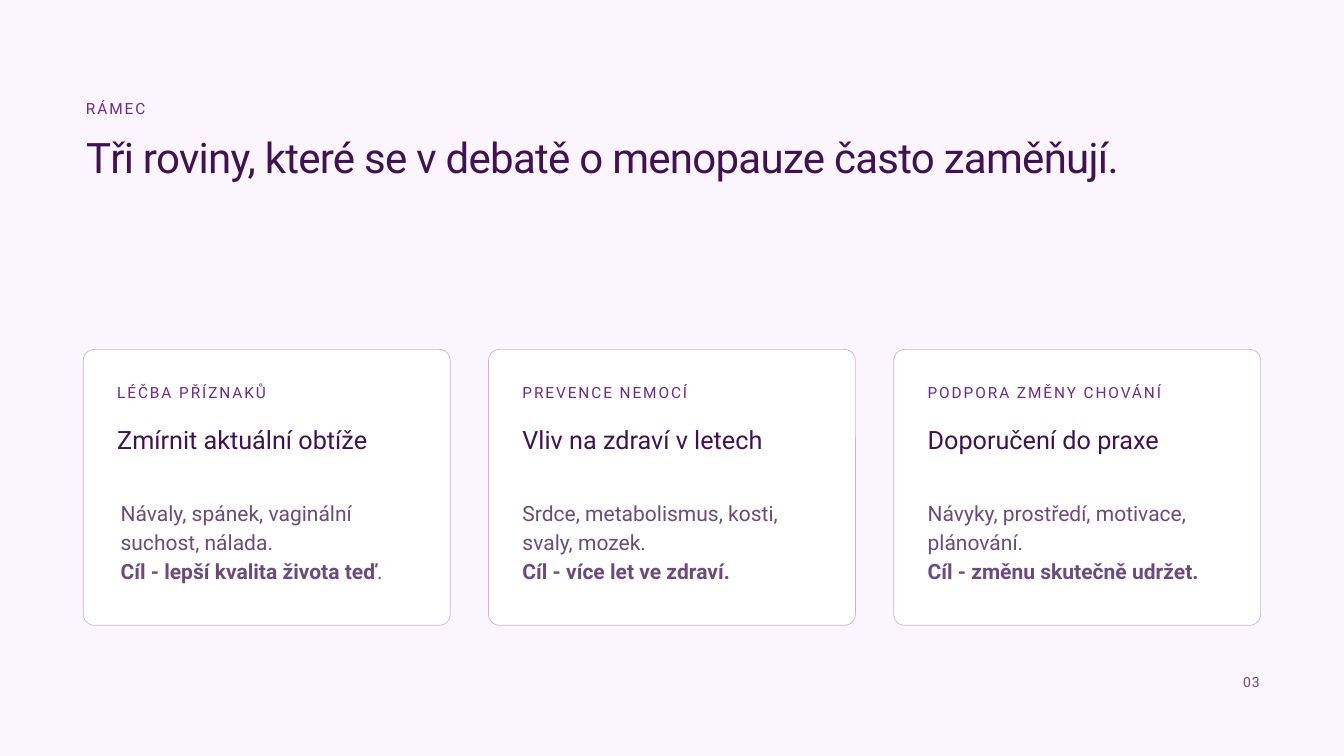
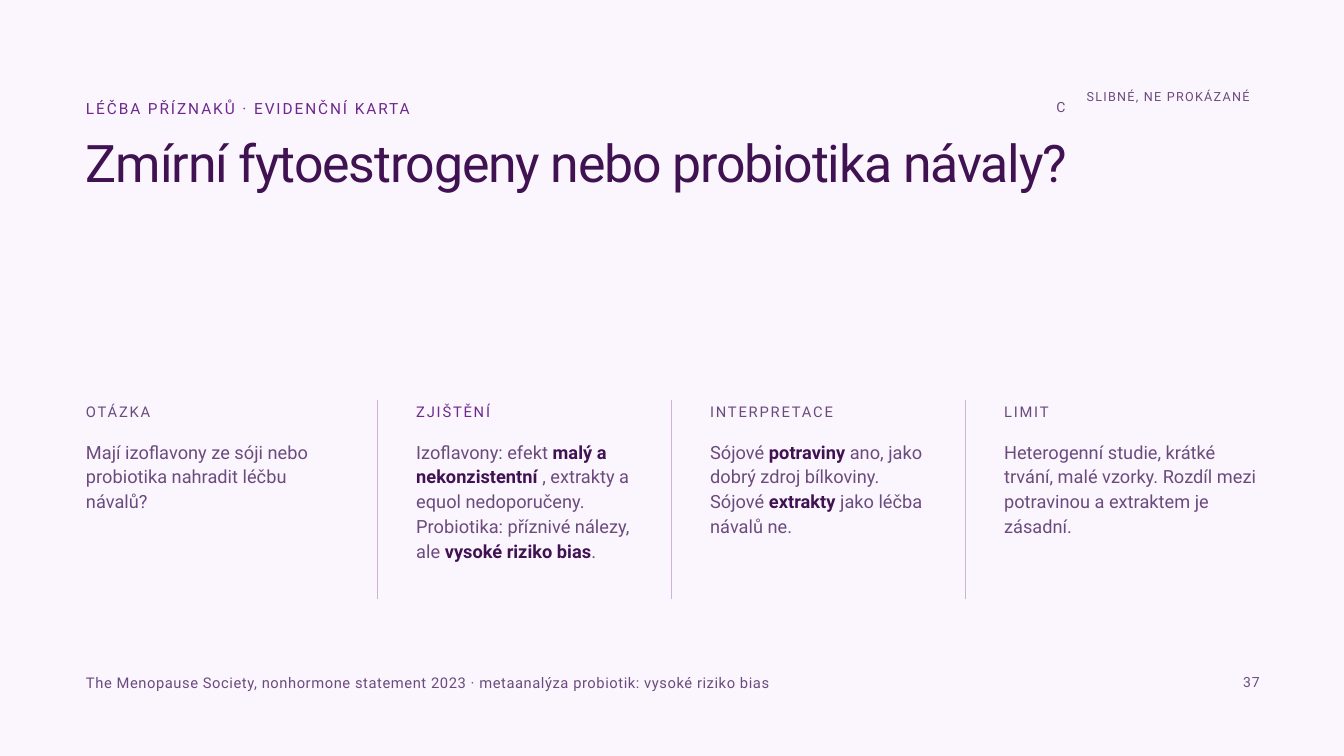
import pptx
import pptx.dml.color
import pptx.enum.shapes
import pptx.enum.text
import pptx.util
from lxml import etree

COLORS = {
    "ground": "FBF5FE",
    "card": "FFFFFF",
    "rule": "CDB3DC",
    "dark": "401252",
    "accent": "6D2A8C",
    "muted": "6B4B7D",
}
FONT = "Roboto"
# name: size, line height, letter spacing (points), colour
STYLES = {
    "eyebrow": (16.5, 24.8, 2.1, "accent"),
    "title": (45, 47.4, -0.8, "dark"),
    "big_title": (55.5, 56.7, -1.3, "dark"),
    "card_heading": (27, 30.1, 0, "dark"),
    "card_body": (22.5, 31.1, 0, "muted"),
    "column_label": (15.8, 23.8, 1.9, "muted"),
    "column_body": (19.5, 26.5, 0, "muted"),
    "grade": (15, 22.4, 0, "muted"),
    "tag": (13.5, 16.8, 1.4, "muted"),
    "source": (15.8, 22.8, 0.6, "muted"),
    "page": (15, 22.4, 0.9, "muted"),
}

# All lengths are percentages of the slide's width (x) or height (y)
WIDTH, HEIGHT = pptx.util.Inches(20), pptx.util.Inches(11.25)
MARGIN = 6.4

CARDS = [
    ("LÉČBA PŘÍZNAKŮ", "Zmírnit aktuální obtíže",
     ["Návaly, spánek, vaginální suchost, nálada.",
      "**Cíl - lepší kvalita života teď**."], 0.25),
    ("PREVENCE NEMOCÍ", "Vliv na zdraví v letech",
     ["Srdce, metabolismus, kosti, svaly, mozek.",
      "**Cíl - více let ve zdraví.**"], 0),
    ("PODPORA ZMĚNY CHOVÁNÍ", "Doporučení do praxe",
     ["Návyky, prostředí, motivace, plánování.",
      "**Cíl - změnu skutečně udržet.**"], 0),
]
COLUMNS = [
    ("OTÁZKA", "muted",
     "Mají izoflavony ze sóji nebo probiotika nahradit léčbu návalů?"),
    ("ZJIŠTĚNÍ", "accent",
     "Izoflavony: efekt **malý a nekonzistentní **, extrakty a equol "
     "nedoporučeny. Probiotika: příznivé nálezy, ale **vysoké riziko bias**."),
    ("INTERPRETACE", "muted",
     "Sójové **potraviny **ano, jako dobrý zdroj bílkoviny. "
     "Sójové **extrakty **jako léčba návalů ne."),
    ("LIMIT", "muted",
     "Heterogenní studie, krátké trvání, malé vzorky. "
     "Rozdíl mezi potravinou a extraktem je zásadní."),
]


def px(share):
    return round(WIDTH * share / 100)


def py(share):
    return round(HEIGHT * share / 100)


def rgb(name):
    return pptx.dml.color.RGBColor.from_string(COLORS[name])


def add_text(s, box, style, *lines, color=None, strong=None, center=False):
    """Text in a box (x, y, w, h); **marks** enclose bold runs."""
    x, y, w, h = box
    size, leading, spacing, style_color = STYLES[style]
    tf = s.shapes.add_textbox(px(x), py(y), px(w), py(h)).text_frame
    tf.word_wrap = True
    tf.margin_left = tf.margin_right = tf.margin_top = tf.margin_bottom = 0
    if center:
        tf.vertical_anchor = pptx.enum.text.MSO_ANCHOR.MIDDLE
    for i, line in enumerate(lines):
        p = tf.add_paragraph() if i else tf.paragraphs[0]
        p.line_spacing = pptx.util.Pt(leading)
        if center:
            p.alignment = pptx.enum.text.PP_ALIGN.CENTER
        p.font.name = FONT
        p.font.size = pptx.util.Pt(size)
        p.font.color.rgb = rgb(color or style_color)
        if spacing:
            p.font._rPr.set("spc", str(round(spacing * 100)))
        for j, part in enumerate(line.split("**")):
            if not part:
                continue
            r = p.add_run()
            r.text = part
            if j % 2:
                r.font.bold = True
                if strong:
                    r.font.color.rgb = rgb(strong)


def add_base(prs, eyebrow, page):
    """Slide with the shared background, eyebrow and page number."""
    s = prs.slides.add_slide(prs.slide_layouts[6])
    s.background.fill.solid()
    s.background.fill.fore_color.rgb = rgb("ground")
    add_text(s, (MARGIN, 12.53, 30, 3.11), "eyebrow", eyebrow)
    add_text(s, (92.5, 88.53, 1.5, 3.47), "page", page)
    return s


def add_card(s, box, label, heading, body, body_shift):
    x, y, w, h = box
    sp = s.shapes.add_shape(pptx.enum.shapes.MSO_SHAPE.ROUNDED_RECTANGLE,
                            px(x), py(y), px(w), py(h))
    sp.adjustments[0] = 0.04
    sp.shadow.inherit = False
    sp.fill.solid()
    sp.fill.fore_color.rgb = rgb("card")
    sp.line.color.rgb = rgb("rule")
    sp.line.width = pptx.util.Pt(0.75)
    left, width = x + 2.52, w - 4.35
    add_text(s, (left, y + 3.82, width, 3.11), "eyebrow", label)
    add_text(s, (left, y + 10.22, width, 4), "card_heading", heading)
    add_text(s, (left + body_shift, y + 19.47, width, 11.47),
             "card_body", *body)


def add_divider(s, x, y, h):
    line = s.shapes.add_connector(pptx.enum.shapes.MSO_CONNECTOR.STRAIGHT,
                                  px(x), py(y), px(x), py(y + h))
    line.line.color.rgb = rgb("rule")
    line.line.width = pptx.util.Pt(0.9)
    etree.SubElement(line._element.spPr, pptx.oxml.ns.qn("a:effectLst"))


def add_column(s, box, label, label_color, body):
    x, y, w, h = box
    add_text(s, (x, y, w, 3.56), "column_label", label, color=label_color)
    add_text(s, (x, y + 5.34, w, h - 5.34), "column_body", body,
             strong="dark")


def add_grade(s, box, grade, tag):
    """Evidence grade with its verdict to the right."""
    x, y, w, h = box
    add_text(s, (x, y, 2.3, h), "grade", grade, center=True)
    add_text(s, (x + 3.05, y - 0.09, w - 3.05, h), "tag", tag)


def build_framework(prs):
    s = add_base(prs, "RÁMEC", "03")
    add_text(s, (MARGIN, 18.22, 77.9, 6.31), "title",
             "Tři roviny, které se v debatě o menopauze často zaměňují.")
    # Three equal cards
    for i, card in enumerate(CARDS):
        add_card(s, (6.2 + i * 30.15, 46.22, 27.3, 36.5), *card)


def build_evidence(prs):
    s = add_base(prs, "LÉČBA PŘÍZNAKŮ · EVIDENČNÍ KARTA", "37")
    add_text(s, (MARGIN, 18.49, 74.85, 7), "big_title",
             "Zmírní fytoestrogeny nebo probiotika návaly?")
    add_grade(s, (77.8, 11.82, 16.2, 4.09), "C", "SLIBNÉ, NE PROKÁZANÉ")
    # Four columns with dividers between them
    dividers = [28.1 + i * 21.87 for i in range(3)]
    lefts = [MARGIN] + [x + 2.87 for x in dividers]
    rights = [x - 2.35 for x in dividers] + [94.15]
    for x in dividers:
        add_divider(s, x, 52.95, 26.3)
    for left, right, column in zip(lefts, rights, COLUMNS):
        add_column(s, (left, 52.62, right - left, 26.7), *column)
    # Source line
    add_text(s, (MARGIN, 88.62, 74.2, 3.38), "source",
             "The Menopause Society, nonhormone statement 2023 · "
             "metaanalýza probiotik: vysoké riziko bias")


def main():
    prs = pptx.Presentation()
    prs.slide_width, prs.slide_height = WIDTH, HEIGHT
    build_framework(prs)
    build_evidence(prs)
    prs.save("out.pptx")


if __name__ == "__main__":
    main()
